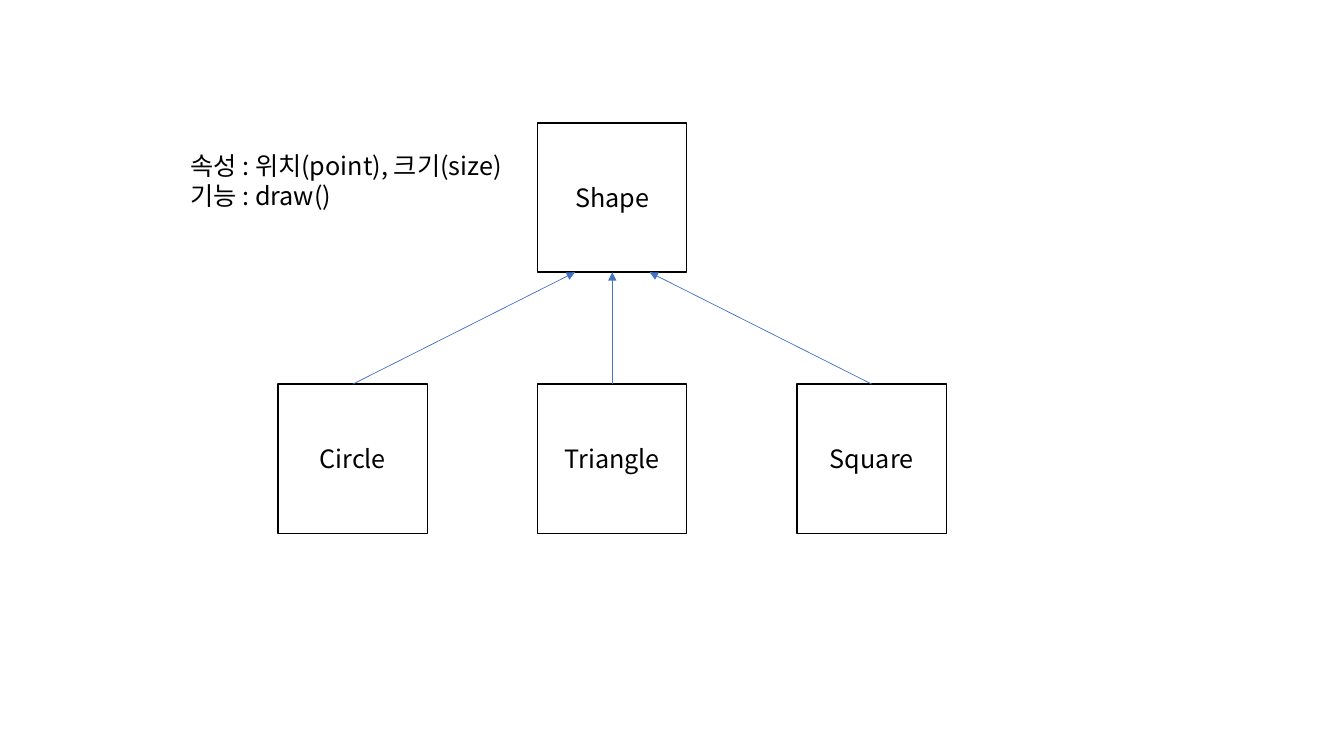
from lxml.etree import SubElement
from pptx import Presentation
from pptx.dml.color import RGBColor
from pptx.enum.shapes import MSO_CONNECTOR, MSO_SHAPE
from pptx.enum.text import MSO_ANCHOR, MSO_AUTO_SIZE, PP_ALIGN
from pptx.oxml.ns import qn
from pptx.util import Cm, Pt

BLACK = RGBColor(0x00, 0x00, 0x00)
WHITE = RGBColor(0xFF, 0xFF, 0xFF)
BLUE = RGBColor(0x44, 0x72, 0xC4)
FONT = "Noto Sans CJK KR"

SIDE = 3.76
PITCH = 6.54
CHILD_LEFT = 7.01
PARENT_LEFT = CHILD_LEFT + PITCH
PARENT_TOP = 3.1
CHILD_TOP = 9.68


def write(box, text):
    """Fill the box with black 18 pt text, one paragraph per line."""
    box.text_frame.text = text
    for paragraph in box.text_frame.paragraphs:
        for span in paragraph.runs:
            span.font.size = Pt(18)
            span.font.name = FONT
            span.font.color.rgb = BLACK
            SubElement(span.font._element, qn("a:ea"), typeface=FONT)


def add_class_box(page, name, left, top):
    box = page.shapes.add_shape(
        MSO_SHAPE.RECTANGLE, Cm(left), Cm(top), Cm(SIDE), Cm(SIDE))
    box.shadow.inherit = False
    box.fill.solid()
    box.fill.fore_color.rgb = WHITE
    box.line.color.rgb = BLACK
    box.line.width = Pt(1)
    write(box, name)
    box.text_frame.vertical_anchor = MSO_ANCHOR.MIDDLE
    box.text_frame.paragraphs[0].alignment = PP_ALIGN.CENTER
    return box


deck = Presentation()
deck.slide_width = Cm(33.87)
deck.slide_height = Cm(19.05)
page = deck.slides.add_slide(deck.slide_layouts[6])

parent = add_class_box(page, "Shape", PARENT_LEFT, PARENT_TOP)
children = [
    add_class_box(page, name, CHILD_LEFT + column * PITCH, CHILD_TOP)
    for column, name in enumerate(["Circle", "Triangle", "Square"])
]

# The arrows reach the parent's lower side at its quarter points.
for quarter, child in enumerate(children, start=1):
    arrow = page.shapes.add_connector(
        MSO_CONNECTOR.STRAIGHT,
        child.left + child.width // 2, child.top,
        parent.left + parent.width * quarter // 4, parent.top + parent.height)
    arrow.begin_connect(child, 0)
    if quarter == 2:
        arrow.end_connect(parent, 2)
    arrow.line.color.rgb = BLUE
    arrow.line.width = Pt(0.5)
    SubElement(arrow.line._get_or_add_ln(), qn("a:tailEnd"), type="triangle")
    SubElement(arrow._element.spPr, qn("a:effectLst"))

members = page.shapes.add_textbox(Cm(4.55), Cm(3.66), Cm(8.69), Cm(1.8))
members.text_frame.word_wrap = True
members.text_frame.auto_size = MSO_AUTO_SIZE.SHAPE_TO_FIT_TEXT
write(members, "속성 : 위치(point), 크기(size)\n기능 : draw()")

deck.save("out.pptx")
